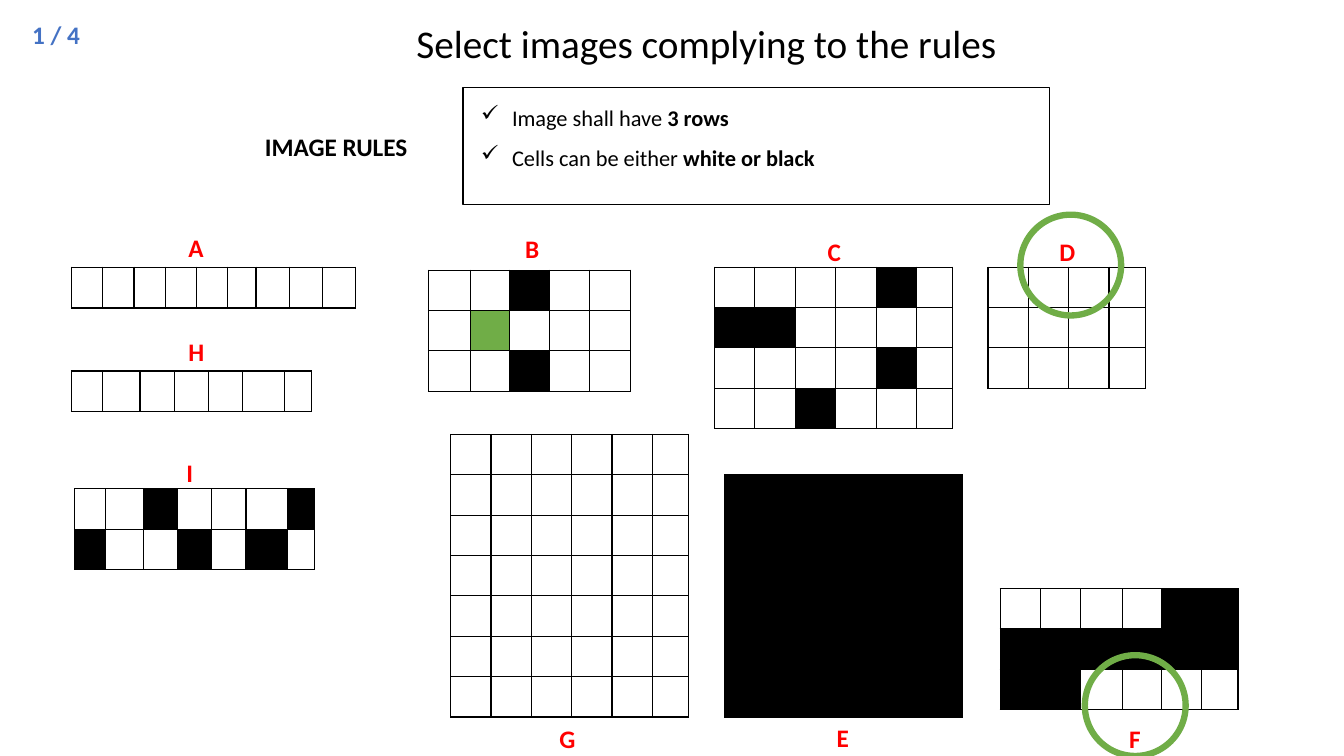
"""Build the quiz slide about choosing grids that comply with the rules."""
from dataclasses import dataclass

from lxml.etree import SubElement
from pptx import Presentation
from pptx.dml.color import RGBColor
from pptx.enum.shapes import MSO_SHAPE as Preset
from pptx.enum.text import MSO_ANCHOR as Anchor, PP_ALIGN as Align
from pptx.oxml import parse_xml
from pptx.oxml.ns import nsdecls, qn
from pptx.util import Inches, Pt

BLACK, WHITE, GREEN, RED, BLUE = "000000", "FFFFFF", "70AD47", "FF0000", "4472C4"
CELL_FILLS = {".": WHITE, "#": BLACK, "G": GREEN}
ROW_HEIGHT = 0.4
SIX_COLUMNS = [0.4] * 5 + [0.36]
SEVEN_COLUMNS = [0.31, 0.37, 0.34, 0.34, 0.34, 0.41, 0.27]


@dataclass
class Grid:
    """A lettered grid; each row string holds one fill key per cell."""
    letter: str
    letter_left: float
    letter_top: float
    left: float
    top: float
    columns: list[float]
    rows: list[str]


GRIDS = [
    Grid("A", 1.77, 2.26, 0.71, 2.65, [0.31] * 5 + [0.28] + [0.33] * 3, ["." * 9]),
    Grid("B", 5.11, 2.27, 4.25, 2.68, [0.42, 0.38, 0.4, 0.4, 0.4],
         ["..#..", ".G...", "..#.."]),
    Grid("C", 8.11, 2.3, 7.09, 2.65, [0.39, 0.41, 0.4, 0.4, 0.4, 0.36],
         ["....#.", "##....", "....#.", "..#..."]),
    Grid("D", 10.41, 2.3, 9.8, 2.65, [0.4, 0.4, 0.4, 0.36], ["." * 4] * 3),
    Grid("E", 8.2, 7.12, 7.19, 4.71, SIX_COLUMNS, ["#" * 6] * 6),
    Grid("F", 11.1, 7.13, 9.92, 5.84, [0.4, 0.4, 0.41, 0.39, 0.4, 0.36],
         ["....##", "######", "##...."]),
    Grid("G", 5.45, 7.13, 4.47, 4.31, SIX_COLUMNS, ["." * 6] * 7),
    Grid("H", 1.77, 3.29, 0.71, 3.68, SEVEN_COLUMNS, ["." * 7]),
    Grid("I", 1.75, 4.49, 0.74, 4.85, SEVEN_COLUMNS, ["..#...#", "#..#.#."]),
]


def color(value: str) -> RGBColor:
    """Turn a hex string into a colour."""
    return RGBColor.from_string(value)


def place(shape, left: float, top: float, width: float, height: float) -> None:
    """Set the position and size of a shape in inches."""
    shape.left, shape.top = Inches(left), Inches(top)
    shape.width, shape.height = Inches(width), Inches(height)


def write_text(frame, text: str, *, bold_tail: str = "", size: float = 18,
               fill: str = BLACK, bold: bool = False, wrap: bool = False):
    """Write one left-aligned paragraph, optionally ending in bold."""
    frame.word_wrap, frame.vertical_anchor = wrap, Anchor.TOP
    para = frame.paragraphs[0]
    para.alignment = Align.LEFT
    for part, is_bold in ((text, bold), (bold_tail, True)):
        if part:
            span = para.add_run()
            span.text = part
            span.font.name, span.font.size = "Calibri", Pt(size)
            span.font.bold, span.font.color.rgb = is_bold, color(fill)
    return para


def add_text(page, left: float, top: float, width: float, height: float,
             text: str, **style):
    """Add a text box and return its paragraph."""
    box = page.shapes.add_textbox(Inches(left), Inches(top), Inches(width), Inches(height))
    return write_text(box.text_frame, text, **style)


def add_rule(page, top: float, width: float, text: str, bold_tail: str) -> None:
    """Add one rule with a check mark as its bullet."""
    para = add_text(page, 4.67, top, width, 0.37, text, bold_tail=bold_tail, size=16)
    properties = para._p.get_or_add_pPr()
    properties.set("marL", str(Inches(0.31)))
    properties.set("indent", str(Inches(-0.31)))
    SubElement(properties, qn("a:buFont"), typeface="Wingdings")
    SubElement(properties, qn("a:buChar"), char="\u00fc")


def add_outline(page, preset, left: float, top: float, width: float, height: float,
                line: str, weight: float) -> None:
    """Add an unfilled preset shape."""
    shape = page.shapes.add_shape(preset, 0, 0, 0, 0)
    place(shape, left, top, width, height)
    shape.shadow.inherit = False
    shape.fill.background()
    shape.line.color.rgb, shape.line.width = color(line), Pt(weight)


def format_cell(cell, fill: str) -> None:
    """Fill a cell and give it thin black borders."""
    cell.fill.solid()
    cell.fill.fore_color.rgb = color(fill)
    properties = cell._tc.get_or_add_tcPr()
    for index, side in enumerate("LRTB"):
        properties.insert(index, parse_xml(
            f'<a:ln{side} {nsdecls("a")} w="{Pt(1)}"><a:solidFill>'
            f'<a:srgbClr val="{BLACK}"/></a:solidFill></a:ln{side}>'))


def add_grid(page, grid: Grid) -> None:
    """Draw a grid as a table, with its letter."""
    frame = page.shapes.add_table(
        len(grid.rows), len(grid.columns), Inches(grid.left), Inches(grid.top),
        Inches(sum(grid.columns)), Inches(ROW_HEIGHT * len(grid.rows)))
    table = frame.table
    table.first_row = table.horz_banding = False
    for column, width in zip(table.columns, grid.columns):
        column.width = Inches(width)
    for row, keys in zip(table.rows, grid.rows):
        row.height = Inches(ROW_HEIGHT)
        for cell, key in zip(row.cells, keys):
            format_cell(cell, CELL_FILLS[key])
    add_text(page, grid.letter_left, grid.letter_top, 0.34, 0.34, grid.letter,
             fill=RED, bold=True)


def build() -> None:
    """Build and save the deck."""
    deck = Presentation()
    deck.slide_width, deck.slide_height = Inches(13.33), Inches(7.5)
    page = deck.slides.add_slide(deck.slide_layouts[5])
    title = page.shapes.title
    place(title, 4.03, 0.14, 6.33, 0.57)
    write_text(title.text_frame, "Select images complying to the rules", size=28, wrap=True)
    for grid in GRIDS:
        add_grid(page, grid)
    add_text(page, 2.53, 1.25, 1.63, 0.4, "IMAGE RULES", bold=True)
    add_outline(page, Preset.RECTANGLE, 4.59, 0.87, 5.82, 1.16, BLACK, 1)
    add_rule(page, 0.98, 2.72, "Image shall have ", "3 rows")
    add_rule(page, 1.38, 3.52, "Cells can be either ", "white or black")
    for left, top in ((10.12, 2.13), (10.76, 6.5)):
        add_outline(page, Preset.OVAL, left, top, 1, 1, GREEN, 4.5)
    add_text(page, 0.22, 0.14, 0.69, 0.4, "1 / 4", fill=BLUE, bold=True)
    deck.save("out.pptx")


build()
